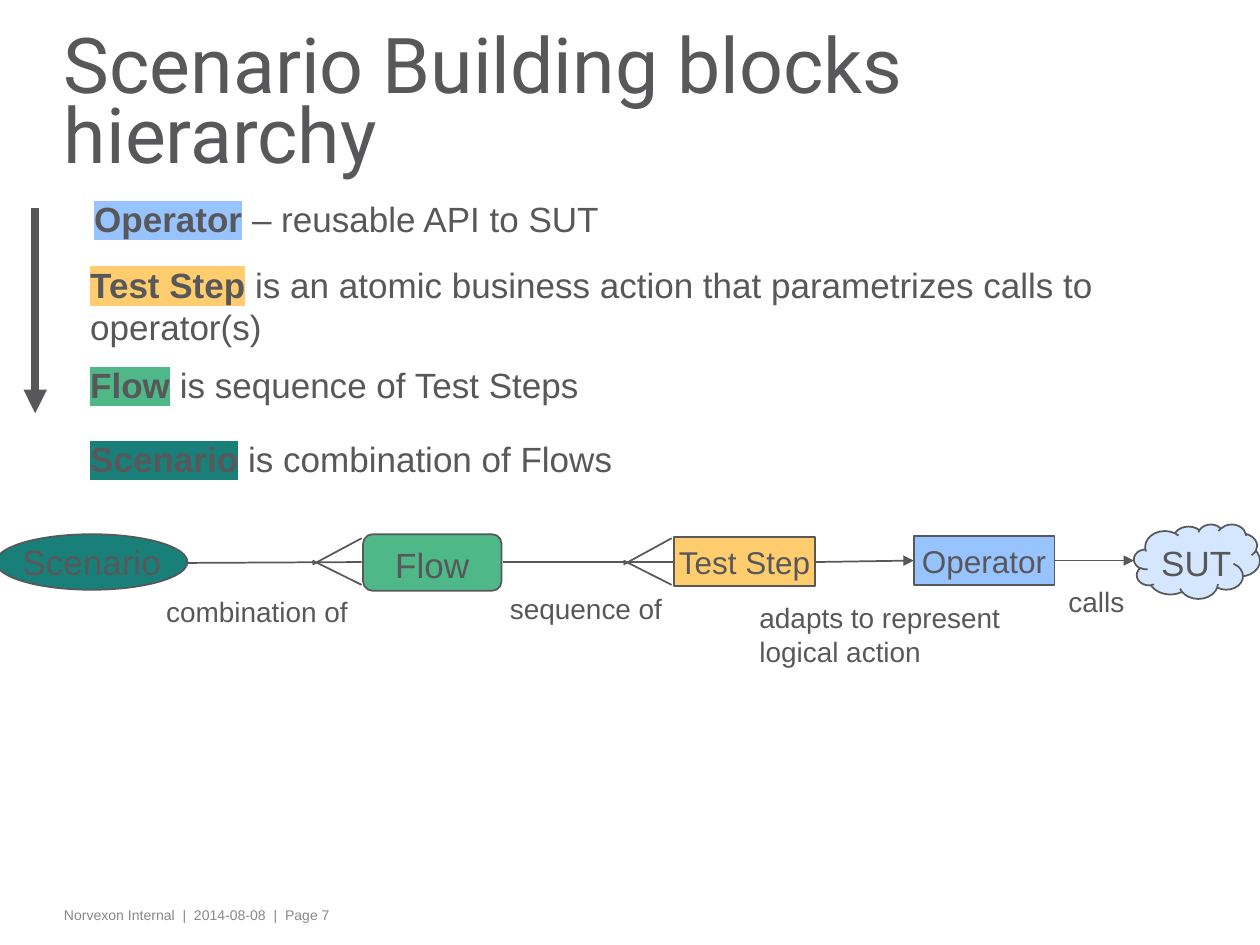
from dataclasses import dataclass

from lxml import etree
from pptx import Presentation
from pptx import util as u
from pptx.dml.color import RGBColor
from pptx.enum import shapes, text
from pptx.oxml import ns


@dataclass(frozen=True)
class Theme:
    ink: str = "58585A"
    muted: str = "87888A"
    operator: str = "97C3FF"
    test_step: str = "FFCC6E"
    flow: str = "4FB889"
    scenario: str = "188079"
    sut: str = "D5E7FF"
    title_font: str = "Roboto"
    body_font: str = "Arial"
    title_size: int = 44
    body_size: int = 20
    block_size: int = 18
    label_size: int = 16
    footer_size: int = 8


class SlideBuilder:
    def __init__(self, slide, theme):
        self.slide = slide
        self.theme = theme

    def add_run(self, paragraph, words, size, color=None, font=None, bold=False, highlight=None):
        run = paragraph.add_run()
        run.text = words
        run.font.size = u.Pt(size)
        run.font.bold = bold
        run.font.color.rgb = RGBColor.from_string(color or self.theme.ink)
        run.font.name = font or self.theme.body_font
        if highlight:
            # Highlight belongs between the fill and the typeface
            mark = etree.Element(ns.qn("a:highlight"))
            etree.SubElement(mark, ns.qn("a:srgbClr"), val=highlight)
            run.font.fill  # the solid fill is already in place
            run.font._rPr.find(ns.qn("a:latin")).addprevious(mark)

    def set_insets(self, frame, vertical):
        frame.margin_left = frame.margin_right = u.Cm(0.2)
        frame.margin_top = frame.margin_bottom = u.Cm(vertical)

    def title(self, words, left, top, width, height):
        heading = self.slide.shapes.title
        heading.left, heading.top = u.Cm(left), u.Cm(top)
        heading.width, heading.height = u.Cm(width), u.Cm(height)
        frame = heading.text_frame
        frame.auto_size = text.MSO_AUTO_SIZE.NONE
        frame.vertical_anchor = text.MSO_ANCHOR.MIDDLE
        self.set_insets(frame, 0)
        paragraph = frame.paragraphs[0]
        paragraph.alignment = text.PP_ALIGN.LEFT
        paragraph.line_spacing = 0.75
        self.add_run(paragraph, words, self.theme.title_size, font=self.theme.title_font)

    def text_box(self, left, top, width, height, wrap=False, grow=True):
        box = self.slide.shapes.add_textbox(u.Cm(left), u.Cm(top), u.Cm(width), u.Cm(height))
        frame = box.text_frame
        frame.word_wrap = wrap
        if grow:
            frame.auto_size = text.MSO_AUTO_SIZE.SHAPE_TO_FIT_TEXT
        return frame

    def definition(self, term, meaning, color, left, top, width, height, wrap=False):
        paragraph = self.text_box(left, top, width, height, wrap).paragraphs[0]
        self.add_run(paragraph, term, self.theme.body_size, bold=True, highlight=color)
        self.add_run(paragraph, meaning, self.theme.body_size)

    def label(self, lines, left, top, width, height):
        frame = self.text_box(left, top, width, height)
        for number, line in enumerate(lines):
            paragraph = frame.add_paragraph() if number else frame.paragraphs[0]
            self.add_run(paragraph, line, self.theme.label_size)

    def footer(self, words, left, top, width, height):
        frame = self.text_box(left, top, width, height, wrap=True, grow=False)
        self.set_insets(frame, 0.13)
        self.add_run(frame.paragraphs[0], words, self.theme.footer_size, self.theme.muted)

    def block(self, kind, words, color, size, left, top, width, height,
              anchor=text.MSO_ANCHOR.TOP, align=text.PP_ALIGN.CENTER):
        block = self.slide.shapes.add_shape(
            kind, u.Cm(left), u.Cm(top), u.Cm(width), u.Cm(height))
        block.shadow.inherit = False
        block.fill.solid()
        block.fill.fore_color.rgb = RGBColor.from_string(color)
        block.line.color.rgb = RGBColor.from_string(self.theme.ink)
        block.line.width = u.Pt(1)
        frame = block.text_frame
        frame.word_wrap = False
        frame.vertical_anchor = anchor
        self.set_insets(frame, 0.13)
        paragraph = frame.paragraphs[0]
        paragraph.alignment = align
        self.add_run(paragraph, words, size)

    def line(self, start, end, width=1, arrow=False):
        link = self.slide.shapes.add_connector(
            shapes.MSO_CONNECTOR.STRAIGHT, *(u.Cm(v) for v in (*start, *end)))
        link.line.color.rgb = RGBColor.from_string(self.theme.ink)
        link.line.width = u.Pt(width)
        if arrow:
            etree.SubElement(link.line._get_or_add_ln(), ns.qn("a:tailEnd"), type="triangle")
        etree.SubElement(link._element.spPr, ns.qn("a:effectLst"))

    def crow_foot(self, tip, end):
        self.line((end, 10.85), (tip, 11.38))
        self.line((tip, 11.3), (end, 11.79))


def main():
    deck = Presentation()
    deck.slide_width, deck.slide_height = u.Cm(25.4), u.Cm(19.05)
    theme = Theme()
    page = SlideBuilder(deck.slides.add_slide(deck.slide_layouts[5]), theme)
    kinds = shapes.MSO_SHAPE

    # Title and footer
    page.footer("Norvexon Internal  |  2014-08-08  |  Page 7", 1.09, 18.14, 20.55, 0.61)
    page.title("Scenario Building blocks hierarchy", 1.09, 0.66, 20.83, 3.02)

    # Definitions, from the smallest block to the largest
    page.line((0.71, 4.19), (0.71, 8.33), width=4.5, arrow=True)
    page.definition("Operator", " – reusable API to SUT", theme.operator,
                    1.65, 3.86, 10.77, 1.11)
    page.definition("Test Step",
                    " is an atomic business action that parametrizes calls to operator(s)",
                    theme.test_step, 1.57, 5.18, 21.11, 1.96, wrap=True)
    page.definition("Flow", " is sequence of Test Steps", theme.flow, 1.57, 7.21, 10.41, 1.11)
    page.definition("Scenario", " is combination of Flows", theme.scenario,
                    1.57, 8.69, 11.33, 1.11)

    # Links between the blocks
    page.line((3.38, 11.35), (7.29, 11.33))
    page.crow_foot(6.3, 7.29)
    page.line((10.13, 11.33), (13.59, 11.33))
    page.crow_foot(12.57, 13.54)
    page.line((16.43, 11.33), (18.42, 11.3), arrow=True)
    page.line((21.23, 11.3), (22.86, 11.3), arrow=True)

    # Link labels
    page.label(["combination of"], 3.1, 11.86, 4.22, 0.94)
    page.label(["sequence of"], 10.03, 11.81, 3.61, 0.94)
    page.label(["adapts to represent", "logical action"], 15.06, 11.99, 5.44, 1.63)
    page.label(["calls"], 21.29, 11.66, 1.65, 0.94)

    # Building blocks
    page.block(kinds.OVAL, "Scenario", theme.scenario, theme.body_size,
               -0.08, 10.77, 3.86, 1.12, anchor=text.MSO_ANCHOR.MIDDLE)
    page.block(kinds.FLOWCHART_ALTERNATE_PROCESS, "Flow", theme.flow, theme.body_size,
               7.32, 10.77, 2.79, 1.14)
    page.block(kinds.RECTANGLE, "Test Step", theme.test_step, theme.block_size,
               13.59, 10.82, 2.84, 0.99)
    page.block(kinds.RECTANGLE, "Operator", theme.operator, theme.block_size,
               18.42, 10.8, 2.84, 0.99)
    page.block(kinds.CLOUD, "SUT", theme.sut, theme.body_size,
               22.86, 10.57, 2.54, 1.5, align=text.PP_ALIGN.LEFT)

    deck.save("out.pptx")


if __name__ == "__main__":
    main()
